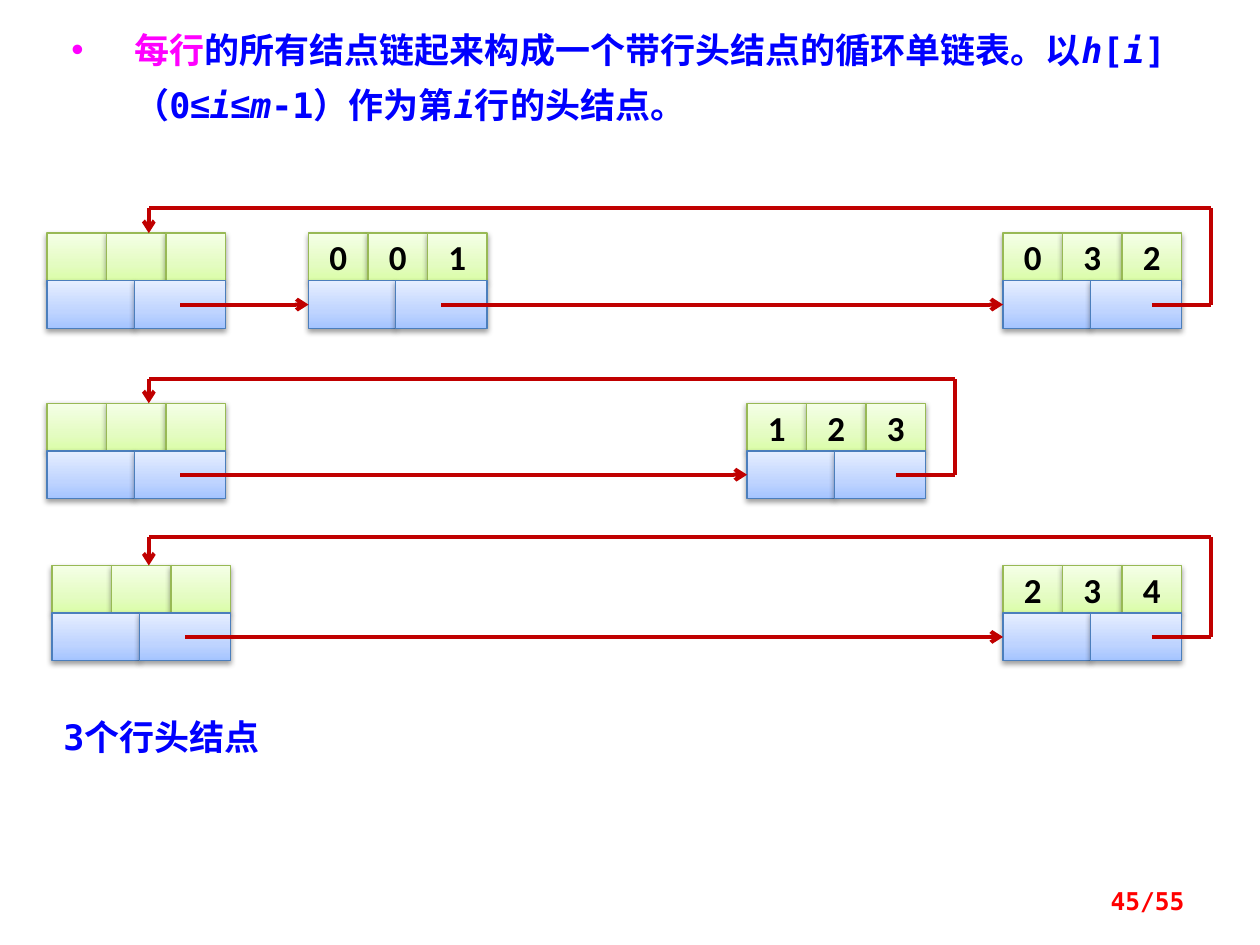
from copy import deepcopy

from pptx import Presentation
from pptx.dml.color import RGBColor
from pptx.enum.shapes import MSO_CONNECTOR, MSO_SHAPE
from pptx.enum.text import MSO_ANCHOR, PP_ALIGN
from pptx.oxml.ns import qn
from pptx.oxml.xmlchemy import OxmlElement
from pptx.util import Cm, Pt

RECTANGLE = MSO_SHAPE.RECTANGLE
STRAIGHT = MSO_CONNECTOR.STRAIGHT
LEFT, CENTER, RIGHT = PP_ALIGN.LEFT, PP_ALIGN.CENTER, PP_ALIGN.RIGHT
TOP, MIDDLE = MSO_ANCHOR.TOP, MSO_ANCHOR.MIDDLE
LEFT_SIDE = 1

MONO, SANS, DIGITS = "DejaVu Sans Mono", "Arial", "Calibri"
BLUE, MAGENTA, RED, ARROW_RED, BLACK = "0000FF", "FF00FF", "FF0000", "C00000", "000000"
# Gradient colours from bottom to top, then the outline
GREEN_CELL = (("DAFDA7", "E4FCC2", "F5FFE7"), "98B955")
BLUE_CELL = (("A4C4FF", "BFD4FF", "E6EEFF"), "4B7EBC")
GRADIENT_POSITIONS = (0, 0.35, 1)

# Lengths in centimetres
CELL_WIDTH, CELL_HEIGHT = 1.2, 0.96
POINTER_WIDTHS = (1.76, 1.84)
NODE_WIDTH = sum(POINTER_WIDTHS)
LINK_X = POINTER_WIDTHS[0] + POINTER_WIDTHS[1] / 2
LINK_Y = CELL_HEIGHT * 1.5
LOOP_START_X, LOOP_MARGIN, LOOP_END_X = 3, 0.59, 3

# top, header left, rise of the return loop, (node left, values)
ROWS = (
    (4.7, 0.95, 0.51, ((6.22, "001"), (20.22, "032"))),
    (8.13, 0.95, 0.49, ((15.06, "123"),)),
    (11.4, 1.05, 0.58, ((20.22, "234"),)),
)

# text, colour, italic, font
RULE_TEXT = (
    ("每行", MAGENTA, False, MONO),
    ("的所有结点链起来构成一个带行头结点的循环单链表。以", BLUE, False, MONO),
    ("h", BLUE, True, MONO),
    ("[", BLUE, False, MONO),
    ("i", BLUE, True, MONO),
    ("]（0", BLUE, False, MONO),
    ("≤", BLUE, False, SANS),
    ("i", BLUE, True, MONO),
    ("≤", BLUE, False, SANS),
    ("m", BLUE, True, MONO),
    ("-1）作为第", BLUE, False, MONO),
    ("i", BLUE, True, MONO),
    ("行的头结点。", BLUE, False, MONO),
)


def color(value):
    return RGBColor.from_string(value)


def add_element(parent, tag, **attributes):
    element = OxmlElement(tag)
    for name, value in attributes.items():
        element.set(name, value)
    parent.append(element)
    return element


def add_span(para, text, tint, italic=False, font=MONO, size=20):
    span = para.add_run()
    span.text = text
    span.font.name, span.font.size = font, Pt(size)
    span.font.bold, span.font.italic = True, italic
    span.font.color.rgb = color(tint)


def add_text(page, box, align, anchor=TOP):
    """Add an empty text box and return its first paragraph."""
    frame = page.shapes.add_textbox(*(Cm(length) for length in box)).text_frame
    frame.word_wrap = True
    frame.vertical_anchor = anchor
    para = frame.paragraphs[0]
    para.alignment = align
    return para


def add_rule(page, box):
    para = add_text(page, box, LEFT)
    para.line_spacing = 1.3
    properties = para._p.get_or_add_pPr()
    properties.set("marL", str(Cm(1.27)))
    properties.set("indent", str(-Cm(1.27)))
    add_element(properties, "a:buFont", typeface=SANS)
    add_element(properties, "a:buChar", char="•")
    for text, tint, italic, font in RULE_TEXT:
        add_span(para, text, tint, italic, font)


def add_cell(group, left, top, width, style, value=""):
    stops, outline = style
    cell = group.shapes.add_shape(
        RECTANGLE, Cm(left), Cm(top), Cm(width), Cm(CELL_HEIGHT))
    cell.fill.gradient()
    cell.fill.gradient_angle = 90
    stop_list = cell._element.spPr.find(qn("a:gradFill")).find(qn("a:gsLst"))
    stop_list.append(deepcopy(stop_list[0]))
    for stop, position, tint in zip(cell.fill.gradient_stops, GRADIENT_POSITIONS, stops):
        stop.position = position
        stop.color.rgb = color(tint)
    cell.line.color.rgb, cell.line.width = color(outline), Pt(0.75)

    cell.shadow.inherit = False
    shadow = add_element(
        cell._element.spPr.find(qn("a:effectLst")), "a:outerShdw", blurRad="40000",
        dist="20000", dir="5400000", rotWithShape="0")
    black = add_element(shadow, "a:srgbClr", val=BLACK)
    add_element(black, "a:alpha", val="38000")

    if value:
        frame = cell.text_frame
        frame.word_wrap = False
        frame.vertical_anchor = MIDDLE
        frame.paragraphs[0].alignment = CENTER
        add_span(frame.paragraphs[0], value, BLACK, font=DIGITS)
    return cell


def add_node(page, left, top, values=("", "", "")):
    """Draw three value cells over two pointer cells; return the left pointer."""
    group = page.shapes.add_group_shape()
    for index, value in enumerate(values):
        add_cell(group, left + index * CELL_WIDTH, top, CELL_WIDTH, GREEN_CELL, value)
    pointer_top = top + CELL_HEIGHT
    down, right = POINTER_WIDTHS
    entry = add_cell(group, left, pointer_top, down, BLUE_CELL)
    add_cell(group, left + down, pointer_top, right, BLUE_CELL)
    return entry


def add_line(parent, start, end, arrow=False):
    line = parent.shapes.add_connector(
        STRAIGHT, *(Cm(length) for length in (*start, *end)))
    line.line.color.rgb, line.line.width = color(ARROW_RED), Pt(2.25)
    if arrow:
        add_element(line.line._get_or_add_ln(), "a:tailEnd", type="arrow")
    add_element(line._element.spPr, "a:effectLst")
    return line


def add_loop(page, last_left, top, rise):
    """Lead from the last node of a row back over it to the header."""
    right = last_left + NODE_WIDTH + LOOP_MARGIN
    start_y, high = top + LINK_Y, top - rise
    points = ((last_left + LOOP_START_X, start_y), (right, start_y), (right, high),
              (LOOP_END_X, high), (LOOP_END_X, top))
    group = page.shapes.add_group_shape()
    for start, end in zip(points, points[1:]):
        add_line(group, start, end, arrow=end == points[-1])


def add_row(page, top, header_left, rise, nodes):
    add_node(page, header_left, top)
    previous_left = header_left
    links = []
    for left, values in nodes:
        links.append((previous_left, left, add_node(page, left, top, values)))
        previous_left = left
    for start_left, end_left, entry in links:
        link = add_line(page, (start_left + LINK_X, top + LINK_Y),
                        (end_left, top + LINK_Y), arrow=True)
        link.end_connect(entry, LEFT_SIDE)
    add_loop(page, previous_left, top, rise)


def main():
    deck = Presentation()
    deck.slide_width, deck.slide_height = Cm(25.4), Cm(19.05)
    page = deck.slides.add_slide(deck.slide_layouts[6])
    add_rule(page, (1.19, 0.2, 22.86, 2.49))
    for row in ROWS:
        add_row(page, *row)
    add_span(add_text(page, (0.58, 14.3, 5.36, 1.12), CENTER), "3个行头结点", BLUE)
    add_span(add_text(page, (18.21, 17.65, 5.92, 1.02), RIGHT, MIDDLE),
             "45/55", RED, size=14)
    deck.save("out.pptx")


if __name__ == "__main__":
    main()
